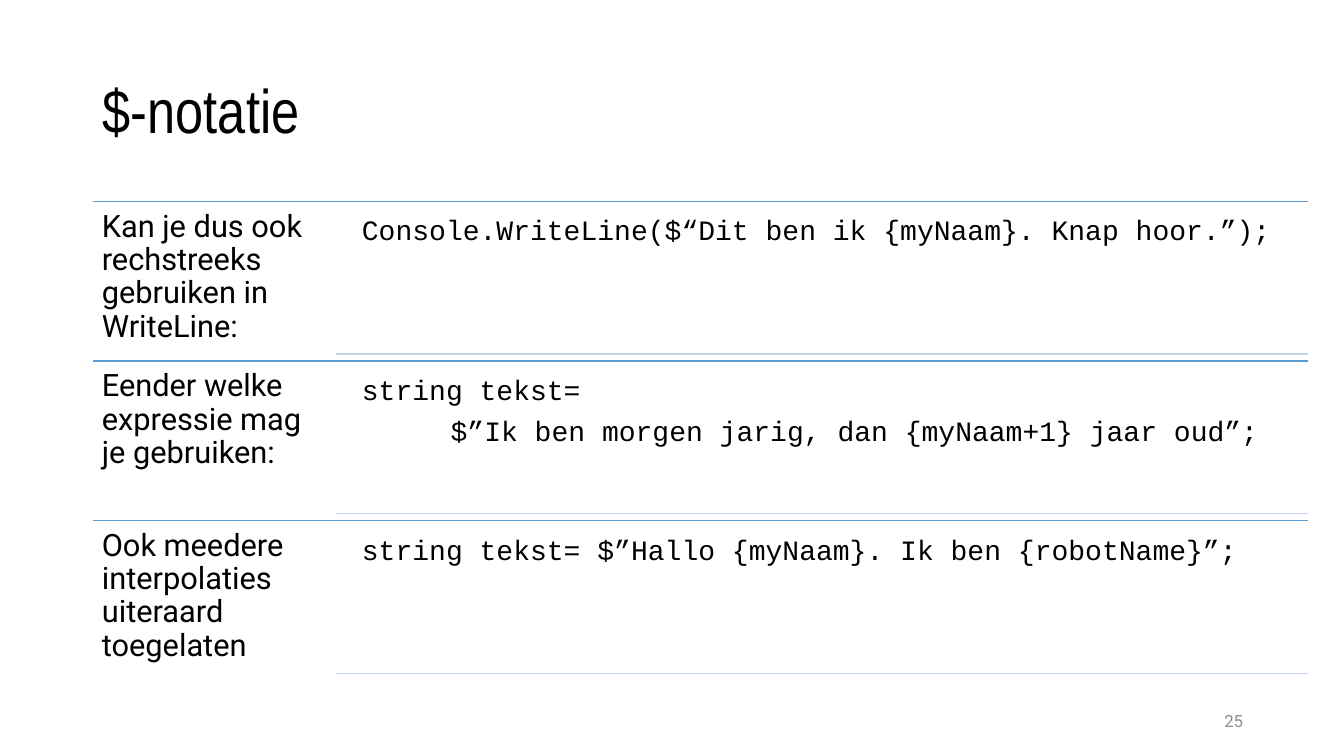
from dataclasses import dataclass

from lxml import etree
from pptx import Presentation
from pptx import util as u
from pptx.dml.color import RGBColor
from pptx.enum import shapes, text
from pptx.oxml import ns


@dataclass(frozen=True)
class Theme:
    """Colours, fonts and type sizes of the slide."""
    ink: str = "000000"
    muted: str = "8C8C8C"
    rule: str = "5B9BD5"
    soft_rule: str = "C4D5EB"
    title_font: str = "Arial Narrow"
    body_font: str = "Roboto"
    code_font: str = "Courier New"
    title_size: int = 44
    label_size: int = 22
    code_size: int = 20
    number_size: int = 12


THEME = Theme()
EXAMPLES = [
    ("Kan je dus ook rechstreeks gebruiken in WriteLine:",
     ["Console.WriteLine($“Dit ben ik {myNaam}. Knap hoor.”);"]),
    ("Eender welke expressie mag je gebruiken:",
     ["string tekst=", "\t$”Ik ben morgen jarig, dan {myNaam+1} jaar oud”;"]),
    ("Ook meedere interpolaties uiteraard toegelaten",
     ["string tekst= $”Hallo {myNaam}. Ik ben {robotName}”;"]),
]


def style(para, font, size, color):
    """Set the font of a whole paragraph."""
    para.font.name = font
    para.font.size = u.Pt(size)
    para.font.color.rgb = RGBColor.from_string(color)


def add_tab_stop(para, position):
    """Give a paragraph one left tab stop."""
    stops = etree.SubElement(para._p.get_or_add_pPr(), ns.qn("a:tabLst"))
    etree.SubElement(stops, ns.qn("a:tab"), pos=str(u.Inches(position)), algn="l")


def add_rule(page, left, right, top, color):
    """Draw a horizontal rule."""
    rule = page.shapes.add_connector(
        shapes.MSO_CONNECTOR.STRAIGHT,
        u.Inches(left), u.Inches(top), u.Inches(right), u.Inches(top))
    rule.line.color.rgb = RGBColor.from_string(color)
    rule.line.width = u.Pt(1)
    etree.SubElement(rule._element.spPr, ns.qn("a:effectLst"))


def add_text(page, box, lines, font, size, color=THEME.ink, inset=0.09):
    """Add a wrapping text box with one paragraph per line."""
    frame = page.shapes.add_textbox(*map(u.Inches, box)).text_frame
    frame.word_wrap = True
    frame.margin_left = frame.margin_right = u.Inches(inset)
    frame.margin_top = frame.margin_bottom = u.Inches(inset)
    for index, line in enumerate(lines):
        para = frame.add_paragraph() if index else frame.paragraphs[0]
        para.text = line
        para.line_spacing = 0.9
        para.space_after = u.Pt(8)
        if line.startswith("\t"):
            add_tab_stop(para, 0.88)
        style(para, font, size, color)
    return frame


def add_title(page, box, title):
    """Place and format the title placeholder."""
    holder = page.shapes.title
    holder.left, holder.top, holder.width, holder.height = map(u.Inches, box)
    frame = holder.text_frame
    frame.text = title
    frame.auto_size = text.MSO_AUTO_SIZE.NONE
    frame.vertical_anchor = text.MSO_ANCHOR.MIDDLE
    para = frame.paragraphs[0]
    para.alignment = text.PP_ALIGN.LEFT
    para.line_spacing = 0.9
    style(para, THEME.title_font, THEME.title_size, THEME.ink)


def add_example(page, box, label, code):
    """Add one ruled row with its label and code."""
    left, top, width, height = box
    right, label_width, gap = left + width, 2.41, 0.07
    code_left = left + label_width + 0.18
    add_rule(page, left, right, top, THEME.rule)
    add_text(page, (left, top, label_width, height), [label],
             THEME.body_font, THEME.label_size)
    add_text(page, (code_left, top + gap, right - code_left, height - 2 * gap),
             code, THEME.code_font, THEME.code_size, inset=0.08)
    add_rule(page, left + label_width, right, top + height - gap, THEME.soft_rule)


def add_examples(page, box, examples):
    """Stack the examples in equal rows."""
    left, top, width, height = box
    row = height / len(examples)
    for index, (label, code) in enumerate(examples):
        add_example(page, (left, top + index * row, width, row), label, code)


def add_page_number(page, box, number):
    """Add the page number at the right of its box."""
    frame = add_text(page, box, [number], THEME.body_font,
                     THEME.number_size, THEME.muted)
    frame.vertical_anchor = text.MSO_ANCHOR.MIDDLE
    para = frame.paragraphs[0]
    para.alignment = text.PP_ALIGN.RIGHT
    para.line_spacing = 1.0
    para.space_after = u.Pt(6)


def main():
    """Build and save the deck."""
    deck = Presentation()
    deck.slide_width, deck.slide_height = u.Inches(13.33), u.Inches(7.5)
    page = deck.slides.add_slide(deck.slide_layouts.get_by_name("Title Only"))
    add_title(page, (0.92, 0.4, 11.5, 1.45), "$-notatie")
    add_examples(page, (0.92, 2, 12.05, 4.75), EXAMPLES)
    add_page_number(page, (9.42, 6.95, 3, 0.4), "25")
    deck.save("out.pptx")


if __name__ == "__main__":
    main()
